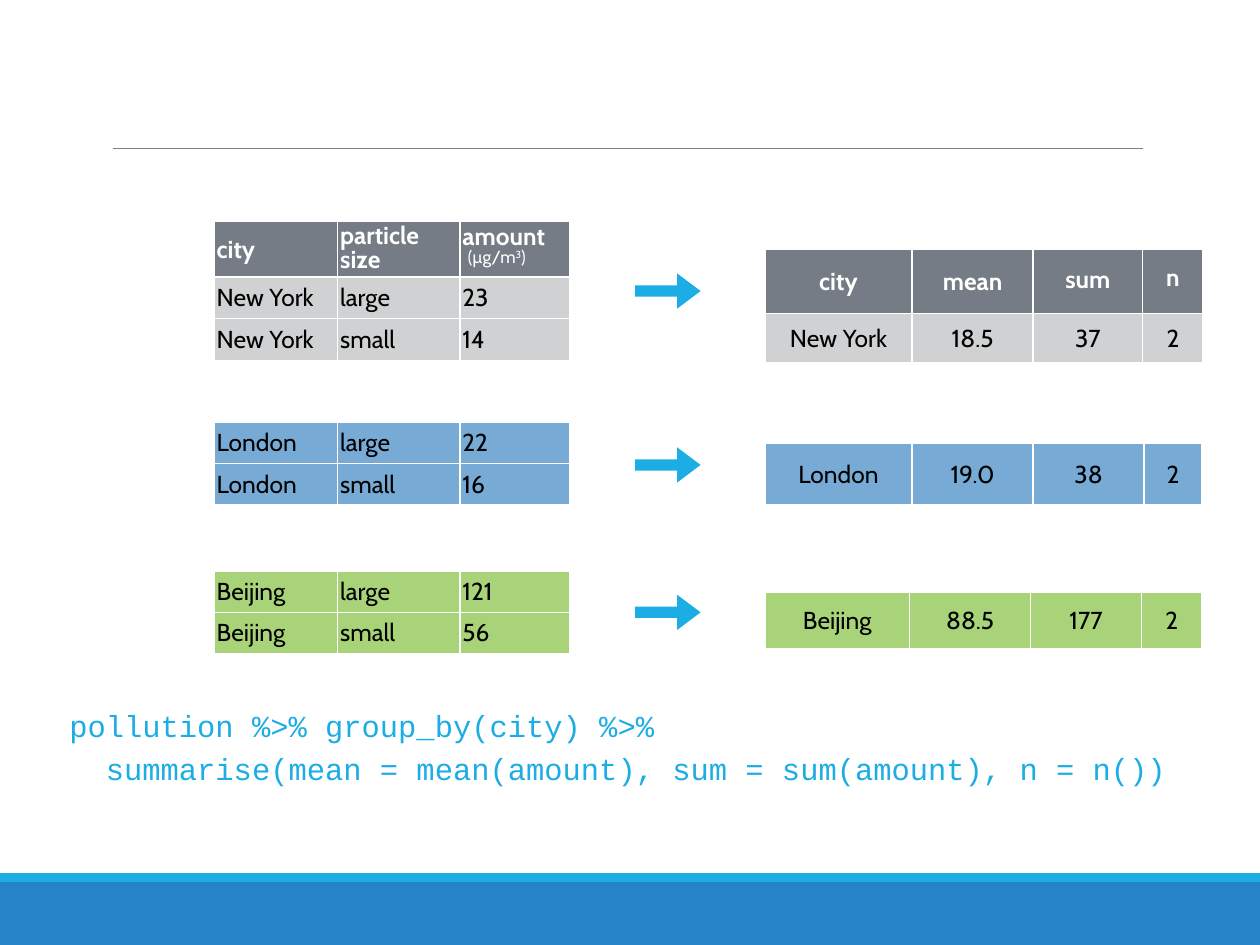
"""Build a slide showing grouped pollution tables summarised by city."""
import copy

import pptx
import pptx.dml.color
import pptx.enum.shapes
import pptx.enum.text
import pptx.oxml
import pptx.oxml.ns
import pptx.util
from pptx.util import Inches

THEME = {
    "accent": "1CADE4", "footer": "2683C6", "rule": "808080",
    "header": "767C85", "New York": "D0D1D2", "London": "78AAD6", "Beijing": "A8D379",
    "light": "FFFFFF", "dark": "000000",
    "font": "Cabin", "code_font": "Courier New",
    "body_size": 14, "unit_size": 10, "code_size": 17.4,
}
rgb = pptx.dml.color.RGBColor.from_string
LEFT, CENTER = pptx.enum.text.PP_ALIGN.LEFT, pptx.enum.text.PP_ALIGN.CENTER
SHAPES = pptx.enum.shapes.MSO_SHAPE


def add_text(paragraph, text, color, size=THEME["body_size"], bold=False, name=THEME["font"]):
    for index, line in enumerate(text.split("\n")):
        if index:
            paragraph.add_line_break()
        run = paragraph.add_run()
        run.text = line
        for key, value in {"size": pptx.util.Pt(size), "bold": bold, "name": name}.items():
            setattr(run.font, key, value)
        run.font.color.rgb = rgb(THEME[color])
    for line_break in paragraph._p.findall(pptx.oxml.ns.qn("a:br")):
        line_break.append(copy.deepcopy(run._r.rPr))
    return run


def add_grid(place, columns, heights, rows, align, inset):
    grid = slide.shapes.add_table(
        len(rows), len(columns), *map(Inches, place), Inches(sum(columns)), Inches(sum(heights))).table
    grid.first_row = grid.horz_banding = False
    for column, width in zip(grid.columns, columns):
        column.width = Inches(width)
    for row, height, values in zip(grid.rows, heights, rows):
        row.height = Inches(height)
        is_header = values[0] == "city"
        for cell, value, spacing in zip(row.cells, values, header_spacing[len(columns)]):
            margins = dict.fromkeys(("margin_left", "margin_right", "margin_top", "margin_bottom"), Inches(inset))
            for key, setting in {**margins, "vertical_anchor": pptx.enum.text.MSO_ANCHOR.MIDDLE}.items():
                setattr(cell, key, setting)
            for side in "LRTB":
                cell._tc.get_or_add_tcPr().append(pptx.oxml.parse_xml(
                    f'<a:ln{side} {pptx.oxml.ns.nsdecls("a")} w="12700"><a:solidFill>'
                    f'<a:srgbClr val="{THEME["light"]}"/></a:solidFill></a:ln{side}>'))
            cell.fill.solid()
            cell.fill.fore_color.rgb = rgb(THEME["header" if is_header else values[0]])
            paragraph = cell.text_frame.paragraphs[0]
            paragraph.alignment = align
            if is_header:
                paragraph.line_spacing = spacing
            add_text(paragraph, value, "light" if is_header else "dark", bold=is_header)
    return grid


deck = pptx.Presentation()
deck.slide_width, deck.slide_height = Inches(10), Inches(7.5)
slide = deck.slides.add_slide(deck.slide_layouts[6])

shapes = [
    (SHAPES.RECTANGLE, 0, 7, 10, 0.5, "footer"),
    (SHAPES.RECTANGLE, 0, 6.93, 10, 0.07, "accent"),
] + [(SHAPES.RIGHT_ARROW, 5.04, top, 0.52, 0.28, "accent") for top in (2.17, 3.55, 4.72)]
for kind, *place, color in shapes:
    block = slide.shapes.add_shape(kind, *map(Inches, place))
    block.shadow.inherit = False
    block.fill.solid()
    block.fill.fore_color.rgb = rgb(THEME[color])
    block.line.fill.background()
    if kind == SHAPES.RIGHT_ARROW:
        block.adjustments[0], block.adjustments[1] = 0.32, 0.665

title_rule = slide.shapes.add_connector(
    pptx.enum.shapes.MSO_CONNECTOR.STRAIGHT, *map(Inches, (0.9, 1.18, 9.07, 1.18)))
title_rule.line.color.rgb = rgb(THEME["rule"])
title_rule.line.width = pptx.util.Pt(0.5)
title_rule._element.spPr.append(pptx.oxml.parse_xml(f'<a:effectLst {pptx.oxml.ns.nsdecls("a")}/>'))

header_spacing = {3: (1, 0.8, 0.6), 4: (1, 1, 0.8, 0.6)}
measurements = [
    (1.76, [("city", "particle\nsize", "amount"), ("New York", "large", "23"), ("New York", "small", "14")]),
    (3.35, [("London", "large", "22"), ("London", "small", "16")]),
    (4.53, [("Beijing", "large", "121"), ("Beijing", "small", "56")]),
]
for top, rows in measurements:
    heights = [0.44 if row[0] == "city" else 0.33 for row in rows]
    measured = add_grid((1.7, top), (0.98, 0.97, 0.87), heights, rows, LEFT, 0.02)
    if rows[0][0] == "city":
        unit = measured.cell(0, 2).text_frame.add_paragraph()
        unit.alignment, unit.line_spacing = LEFT, 0.6
        add_text(unit, " ", "light")
        add_text(unit, "(µg/m", "light", THEME["unit_size"])
        exponent = add_text(unit, "3", "light", THEME["unit_size"])
        exponent._r.get_or_add_rPr().set("baseline", "32000")
        add_text(unit, ")", "light", THEME["unit_size"])

summaries = [
    (1.98, (1.17, 0.96, 0.87, 0.48), (0.51, 0.39),
     [("city", "mean", "sum", "n"), ("New York", "18.5", "37", "2")]),
    (3.52, (1.17, 0.96, 0.88, 0.46), (0.49,), [("London", "19.0", "38", "2")]),
    (4.7, (1.15, 0.96, 0.88, 0.48), (0.45,), [("Beijing", "88.5", "177", "2")]),
]
for top, columns, heights, rows in summaries:
    add_grid((6.07, top), columns, heights, rows, CENTER, 0.06)

code = slide.shapes.add_textbox(*map(Inches, (0.52, 5.58, 8.97, 0.74))).text_frame
code.word_wrap = True
for side in ("left", "right", "top", "bottom"):
    setattr(code, f"margin_{side}", Inches(0.03))
code_lines = [
    ("pollution %>% group_by(city) %>%", 0),
    ("summarise(mean = mean(amount), sum = sum(amount), n = n())", 0.29),
]
for index, (text, indent) in enumerate(code_lines):
    statement = code.add_paragraph() if index else code.paragraphs[0]
    statement.space_before = pptx.util.Pt(3.8)
    statement._p.get_or_add_pPr().set("marL", str(Inches(indent)))
    add_text(statement, text, "accent", THEME["code_size"], name=THEME["code_font"])

deck.save("out.pptx")
